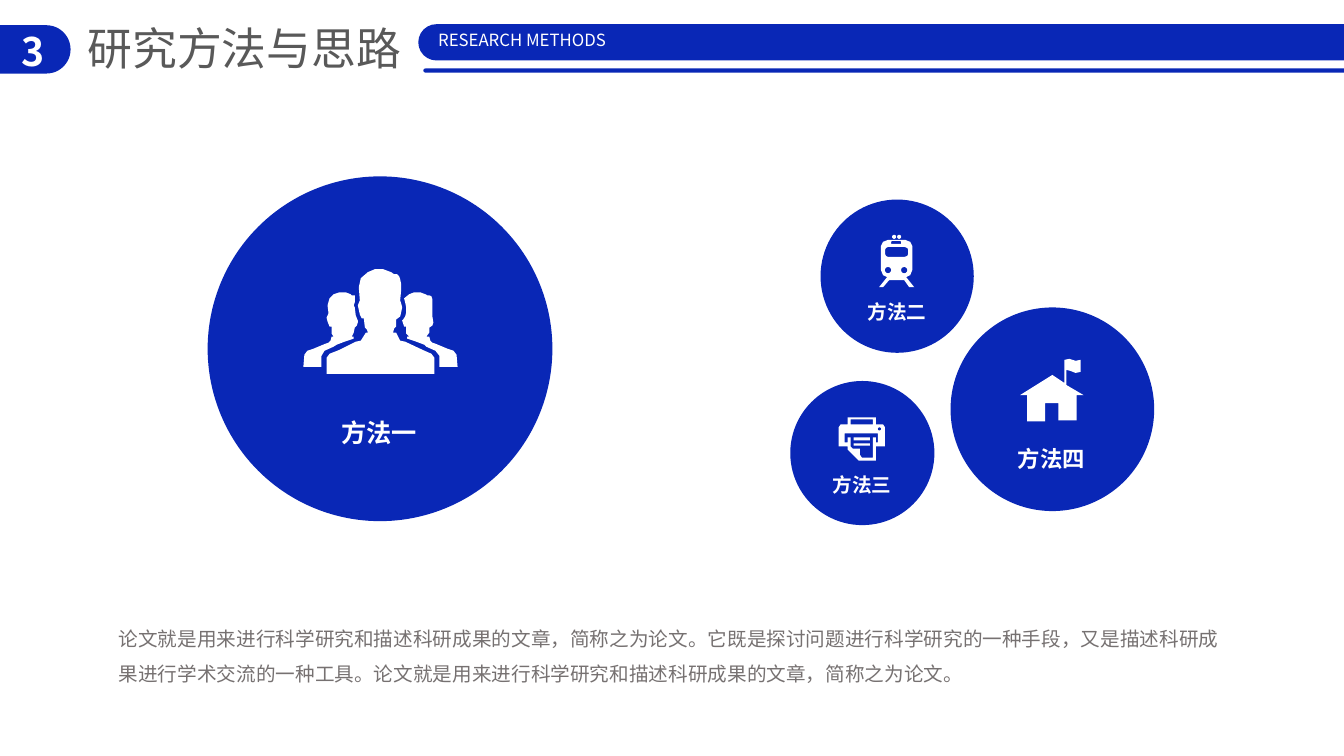
from lxml import etree
from pptx import Presentation
from pptx import util as u
from pptx.dml.color import RGBColor
from pptx.enum import shapes, text
from pptx.oxml import ns

COLS, ROWS = 1333, 750
CELL = u.Inches(0.01)
BLUE, WHITE, DARK, GREY = "0927B6", "FFFFFF", "595959", "767171"
FONT = "Noto Sans CJK SC"

# Outlines in grid cells: "x,y" points, with "/" between contours.
SIDES = """
351,303 352,300 352,293 349,293 348,292 343,290 337,290 331,292 327,296 325,303
326,311 324,315 325,319 327,324 329,324 329,331 331,334 329,334 328,338 326,340
323,341 311,346 305,348 302,352 301,364 319,364 319,353 322,348 331,344 334,342
342,339 351,336 351,334 349,334 351,330 352,325 354,323 355,320 355,318 353,313
352,305 /
453,352 450,348 444,346 432,341 429,340 427,338 426,334 423,334 426,330 426,325
429,323 430,320 429,314 429,297 428,294 426,293 424,293 422,292 417,290 411,290
406,292 401,296 402,300 403,305 403,310 402,314 400,317 399,318 401,324 403,324
403,331 406,334 404,334 404,336 413,339 421,342 423,344 432,348 436,353 436,364
454,364"""
FRONT = """
397,277 398,282 398,288 397,298 398,301 399,305 398,310 397,314 393,317 393,324
391,326 390,330 393,330 397,338 402,339 419,347 428,351 431,355 431,371 324,371
324,355 327,351 337,347 353,339 358,338 363,330 365,330 364,327 362,325 361,316
359,316 357,312 355,303 357,298 356,285 358,276 365,270 372,267 380,267 388,270
391,272 394,272 396,274"""
TRAIN = """
899,275 903,273 905,268 905,244 903,240 898,238 881,238 876,240 874,244 874,268
876,273 880,275 872,285 876,285 882,278 897,278 902,285 907,285 /
884,240 885,239 893,239 894,240 894,242 884,242 /
881,255 879,254 878,252 878,248 879,246 881,245 897,245 900,246 901,248 901,252
900,254 897,255"""
HOUSE = """
1058,382 1058,367 1062,368 1067,370 1072,369 1072,357 1067,358 1061,356 1056,357
1056,380 1044,372 1012,392 1019,392 1019,418 1037,418 1037,400 1050,400 1050,417
1068,417 1068,392 1075,392"""
PRINTER = """
876,421 869,421 869,414 841,414 841,421 834,421 832,424 832,443 841,443 841,446
852,457 869,457 869,443 878,443 878,424 /
844,416 866,416 866,421 844,421 /
871,439 869,439 869,434 866,434 866,454 855,454 853,451 853,445 846,445 844,443
844,434 841,434 841,439 838,439 838,430 871,430 /
863,434 847,434 847,437 863,437 /
847,442 863,442 863,440 847,440"""


def paint(hue):
    return RGBColor.from_string(hue)


class Deck:
    def __init__(self):
        self.file = Presentation()
        self.file.slide_width = u.Inches(13.333)
        self.file.slide_height = ROWS * CELL
        self.slide = self.file.slides.add_slide(self.file.slide_layouts[6])

    def box(self, *cells):
        return [n * CELL for n in cells]

    def coat(self, shape, hue):
        """Give a shape a flat fill with no line or shadow."""
        shape.shadow.inherit = False
        shape.fill.solid()
        shape.fill.fore_color.rgb = paint(hue)
        shape.line.fill.background()

    def disc(self, x, y, size, hue):
        kind = shapes.MSO_SHAPE.OVAL
        self.coat(self.slide.shapes.add_shape(kind, *self.box(x, y, size, size)), hue)

    def pill(self, x, y, w, h):
        kind = shapes.MSO_SHAPE.ROUNDED_RECTANGLE
        shape = self.slide.shapes.add_shape(kind, *self.box(x, y, w, h))
        shape.adjustments[0] = 0.5
        self.coat(shape, BLUE)

    def icon(self, outline, hue=WHITE):
        pen = None
        for part in outline.split("/"):
            dots = [tuple(map(int, dot.split(","))) for dot in part.split()]
            if pen is None:
                pen = self.slide.shapes.build_freeform(*dots[0], scale=CELL)
            else:
                pen.move_to(*dots[0])
            pen.add_line_segments(dots[1:], close=True)
        self.coat(pen.convert_to_shape(), hue)

    def words(self, x, y, w, h, line, size, hue, bold=False,
              wrap=False, mid=False, gap=1.0):
        frame = self.slide.shapes.add_textbox(*self.box(x, y, w, h)).text_frame
        frame.word_wrap = wrap
        frame.auto_size = text.MSO_AUTO_SIZE.SHAPE_TO_FIT_TEXT
        para = frame.paragraphs[0]
        para.alignment = text.PP_ALIGN.CENTER if mid else text.PP_ALIGN.LEFT
        para.line_spacing = gap
        run = para.add_run()
        run.text = line
        font = run.font
        font.size, font.bold, font.name = u.Pt(size), bold, FONT
        font.color.rgb = paint(hue)
        east = etree.SubElement(run._r.get_or_add_rPr(), ns.qn("a:ea"))
        east.set("typeface", FONT)


def head(deck):
    deck.pill(-28, 25, 98, 48)
    deck.words(7, 22, 51, 57, "3", 28, WHITE, bold=True, wrap=True, mid=True)
    deck.words(77, 16, 334, 64, "研究方法与思路", 32, DARK)
    deck.pill(415, 24, 974, 36)
    deck.pill(420, 68, 1103, 4)
    deck.words(420, 25, 196, 30, "RESEARCH METHODS", 12, WHITE, mid=True)


def main():
    deck = Deck()
    head(deck)
    # Disc (x, y, size), label (x, y, w, h), name, text size, outlines
    methods = [
        ((206, 175, 342), (329, 409, 96, 40), "方法一", 18, (SIDES, FRONT)),
        ((814, 198, 152), (851, 293, 79, 34), "方法二", 14, (TRAIN,)),
        ((943, 305, 202), (1000, 437, 88, 37), "方法四", 16, (HOUSE,)),
        ((784, 378, 143), (816, 464, 79, 34), "方法三", 14, (PRINTER,)),
    ]
    for disc, label, name, size, icons in methods:
        deck.disc(*disc, BLUE)
        deck.words(*label, name, size, WHITE, bold=True)
        for outline in icons:
            deck.icon(outline)
    # Train lamps and wheels, then the printer light
    for x, y, size, hue in [(885, 233, 4, WHITE), (890, 233, 4, WHITE),
                            (878, 265, 6, BLUE), (894, 265, 6, BLUE),
                            (871, 424, 3, BLUE)]:
        deck.disc(x, y, size, hue)
    deck.words(108, 605, 1117, 81,
               "论文就是用来进行科学研究和描述科研成果的文章，简称之为论文。"
               "它既是探讨问题进行科学研究的一种手段，又是描述科研成果进行学术交流的一种工具。"
               "论文就是用来进行科学研究和描述科研成果的文章，简称之为论文。",
               14, GREY, wrap=True, gap=1.5)
    deck.file.save("out.pptx")


if __name__ == "__main__":
    main()
